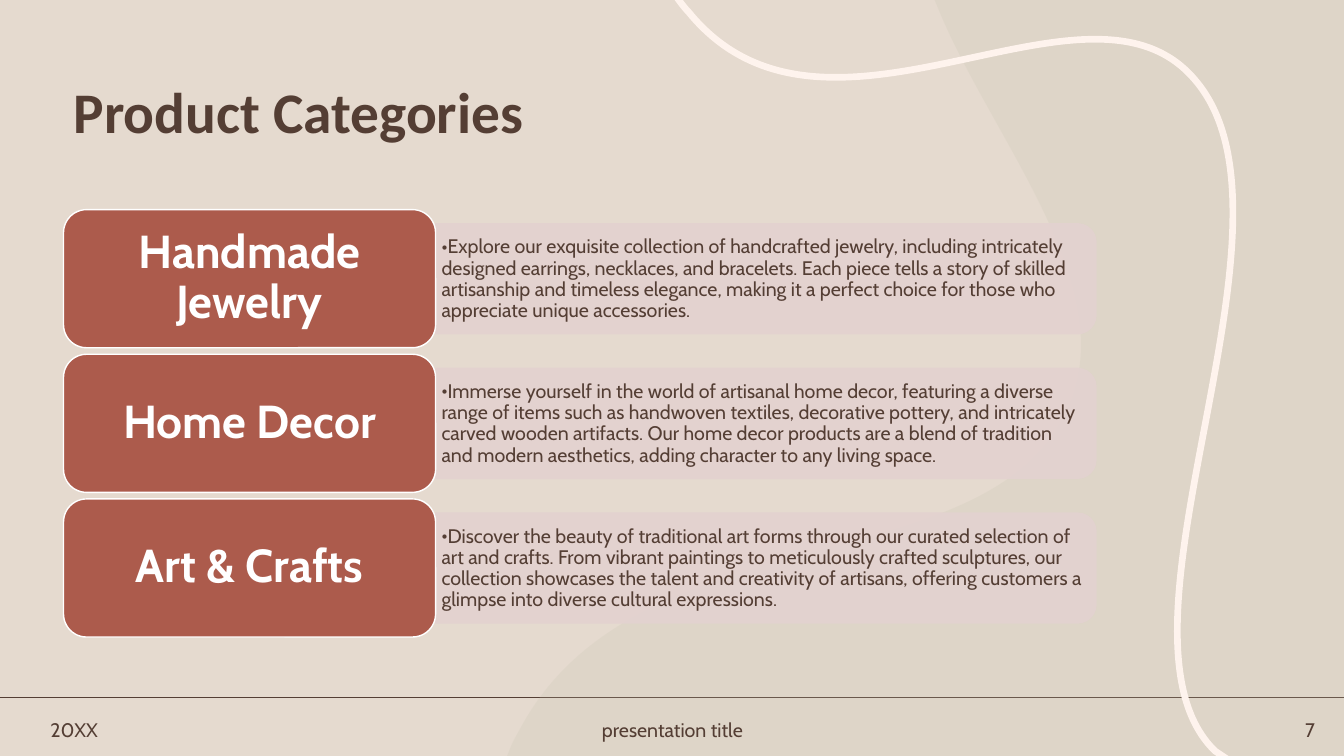
import pptx
import pptx.dml.color
import pptx.enum.shapes
import pptx.enum.text
import pptx.oxml
import pptx.oxml.ns
import pptx.util

Inches = pptx.util.Inches
Pt = pptx.util.Pt
PRESET = pptx.enum.shapes.MSO_SHAPE
ALIGN = pptx.enum.text.PP_ALIGN

BROWN, SAND, CREAM, ROSE, TERRACOTTA = "543E34", "E5DACF", "FEF3ED", "E3D2D0", "AC5B4C"
XML_NAMESPACE = pptx.oxml.ns.nsdecls("a")

CATEGORIES = [
    ("Handmade Jewelry",
     "Explore our exquisite collection of handcrafted jewelry, including intricately designed "
     "earrings, necklaces, and bracelets. Each piece tells a story of skilled artisanship and "
     "timeless elegance, making it a perfect choice for those who appreciate unique accessories."),
    ("Home Decor",
     "Immerse yourself in the world of artisanal home decor, featuring a diverse range of items "
     "such as handwoven textiles, decorative pottery, and intricately carved wooden artifacts. "
     "Our home decor products are a blend of tradition and modern aesthetics, adding character "
     "to any living space."),
    ("Art & Crafts",
     "Discover the beauty of traditional art forms through our curated selection of art and "
     "crafts. From vibrant paintings to meticulously crafted sculptures, our collection "
     "showcases the talent and creativity of artisans, offering customers a glimpse into "
     "diverse cultural expressions."),
]


def set_color(color_format, hex_color, opacity=100):
    color_format.rgb = pptx.dml.color.RGBColor.from_string(hex_color)
    if opacity < 100:
        color = color_format._xFill.find(".//" + pptx.oxml.ns.qn("a:srgbClr"))
        color.append(pptx.oxml.parse_xml(f'<a:alpha {XML_NAMESPACE} val="{opacity * 1000}"/>'))


def paint(shape, fill=None, line=None, width=1, opacity=100):
    shape.shadow.inherit = False
    if fill:
        shape.fill.solid()
        set_color(shape.fill.fore_color, fill, opacity)
    else:
        shape.fill.background()
    if line:
        shape.line.width = Pt(width)
        shape.line.fill.solid()
        set_color(shape.line.fill.fore_color, line, opacity)
    else:
        shape.line.fill.background()


def write_text(frame, text, size=14, font="Cabin", color=BROWN, bold=False,
               align=ALIGN.LEFT, spacing=1.0, insets=(0.1, 0.05), bullet=None):
    frame.word_wrap = True
    frame.auto_size = pptx.enum.text.MSO_AUTO_SIZE.NONE
    frame.vertical_anchor = pptx.enum.text.MSO_ANCHOR.MIDDLE
    frame.margin_left = frame.margin_right = Inches(insets[0])
    frame.margin_top = frame.margin_bottom = Inches(insets[1])
    paragraph = frame.paragraphs[0]
    paragraph.text = text
    paragraph.alignment = align
    paragraph.line_spacing = spacing
    if bullet:
        properties = paragraph._p.get_or_add_pPr()
        properties.set("marL", "0")
        properties.set("indent", str(Inches(-0.12)))
        for tag in (f'buFont {XML_NAMESPACE} typeface="{font}"',
                    f'buChar {XML_NAMESPACE} char="{bullet}"'):
            properties.append(pptx.oxml.parse_xml(f"<a:{tag}/>"))
    run_font = paragraph.runs[0].font
    run_font.size, run_font.name, run_font.bold = Pt(size), font, bold
    set_color(run_font.color, color)


def draw_outline(slide, start, segments, width, close):
    builder = slide.shapes.build_freeform(Inches(start[0]), Inches(start[1]))
    builder.add_line_segments(
        [(Inches(x), Inches(y)) for x, y in (segment[-1] for segment in segments)], close=close)
    outline = builder.convert_to_shape()
    outline.width = Inches(width)
    geometry = outline._element.find(".//" + pptx.oxml.ns.qn("a:pathLst"))[0]
    geometry.set("w", str(Inches(width)))
    for straight, segment in zip(geometry.findall(pptx.oxml.ns.qn("a:lnTo")), segments):
        if len(segment) == 3:
            points = "".join(
                f'<a:pt x="{Inches(x) - outline.left}" y="{Inches(y) - outline.top}"/>'
                for x, y in segment)
            geometry.replace(straight, pptx.oxml.parse_xml(
                f"<a:cubicBezTo {XML_NAMESPACE}>{points}</a:cubicBezTo>"))
    return outline


def add_backdrop(slide, width, height):
    slide.background.fill.solid()
    set_color(slide.background.fill.fore_color, SAND)

    rule = slide.shapes.add_connector(pptx.enum.shapes.MSO_CONNECTOR.STRAIGHT,
                                      0, Inches(6.92), Inches(width), Inches(6.92))
    rule.line.width = Pt(1.25)
    set_color(rule.line.color, BROWN)
    rule._element.spPr.append(pptx.oxml.parse_xml(f"<a:effectLst {XML_NAMESPACE}/>"))

    dune = draw_outline(slide, (9.27, 0), [
        [(width, 0)], [(width, height)], [(5.03, height)], [(5.07, 7.4)],
        [(5.11, 7.31), (5.15, 7.25), (5.17, 7.21)],
        [(6.31, 5.12), (9.62, 5.78), (10.52, 4.19)],
        [(11.23, 2.96), (9.88, 1.46), (9.32, 0.12)]], 8.3, True)
    paint(dune, fill="C6C4AF", opacity=20)

    ribbon = draw_outline(slide, (12.17, 7.53), [
        [(12.14, 7.51)], [(12.05, 7.45)],
        [(10.84, 6.27), (13.07, 2.2), (11.85, 0.79)],
        [(10.78, -0.47), (8.2, 1.8), (6.83, 0.12)],
        [(6.8, 0.09), (6.76, 0.04), (6.71, -0.03)]], 5.52, False)
    paint(ribbon, line=CREAM, width=4.75)


def add_title(slide, left, top, width, height):
    title = slide.shapes.title
    title.left, title.top = Inches(left), Inches(top)
    title.width, title.height = Inches(width), Inches(height)
    write_text(title.text_frame, "Product Categories", size=41, font="Calibri",
               bold=True, spacing=0.9)


def add_text_box(slide, box, text, **text_format):
    text_box = slide.shapes.add_textbox(*map(Inches, box))
    write_text(text_box.text_frame, text, **text_format)


def add_category(slide, left, top, width, height, name, description):
    name_width = 3.69
    panel_left, panel_width, panel_height = left + name_width, width - name_width, 1.09
    middle = top + height / 2
    panel = slide.shapes.add_shape(
        PRESET.ROUND_2_SAME_RECTANGLE,
        Inches(panel_left + (panel_width - panel_height) / 2), Inches(middle - panel_width / 2),
        Inches(panel_height), Inches(panel_width))
    panel.rotation = 90
    paint(panel, fill=ROSE, line=ROSE, opacity=90)
    add_text_box(slide, (panel_left, middle - 0.49, panel_width - 0.05, 0.99), description,
                 spacing=0.9, insets=(0.06, 0.03), bullet="•")

    card = slide.shapes.add_shape(PRESET.ROUNDED_RECTANGLE, Inches(left), Inches(top),
                                  Inches(name_width), Inches(height))
    paint(card, fill=TERRACOTTA, line="FFFFFF")
    write_text(card.text_frame, name, size=33, color="FFFFFF", bold=True,
               align=ALIGN.CENTER, spacing=0.9, insets=(0.14, 0.07))


def add_categories(slide, left, top, width, height):
    row_height = 1.37
    pitch = (height - row_height) / (len(CATEGORIES) - 1)
    for row, (name, description) in enumerate(CATEGORIES):
        add_category(slide, left, top + row * pitch, width, row_height, name, description)


def add_footer(slide, top, height):
    for left, width, text, align in [(0.4, 1.08, "20XX", ALIGN.LEFT),
                                     (4.79, 3.76, "presentation title", ALIGN.CENTER),
                                     (12.06, 1.08, "7", ALIGN.RIGHT)]:
        add_text_box(slide, (left, top, width, height), text, align=align)


def main():
    presentation = pptx.Presentation()
    width, height = 13.33, 7.5
    presentation.slide_width, presentation.slide_height = Inches(width), Inches(height)
    slide = presentation.slides.add_slide(presentation.slide_layouts[5])
    add_backdrop(slide, width, height)
    add_title(slide, 0.63, 0.77, 11.5, 0.74)
    add_categories(slide, 0.63, 2.08, 10.24, 4.24)
    add_footer(slide, 7.07, 0.34)
    presentation.save("out.pptx")


if __name__ == "__main__":
    main()
